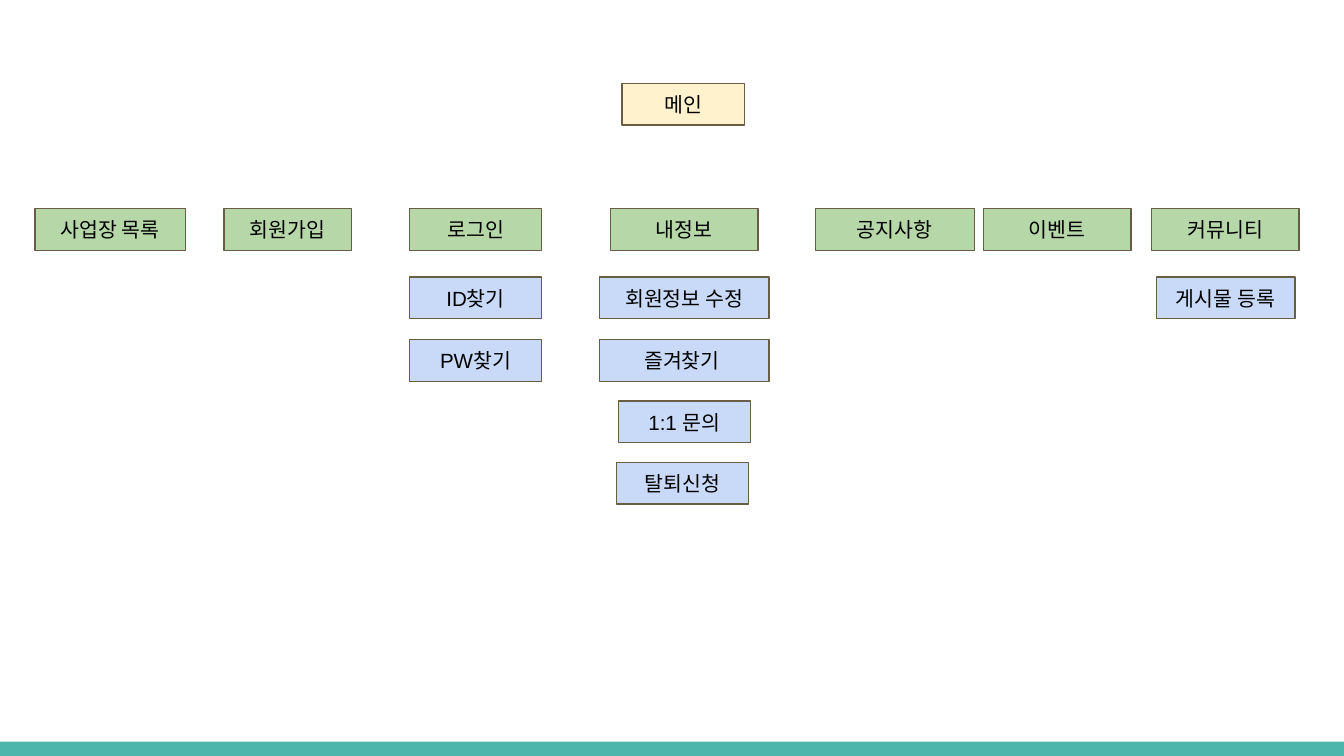
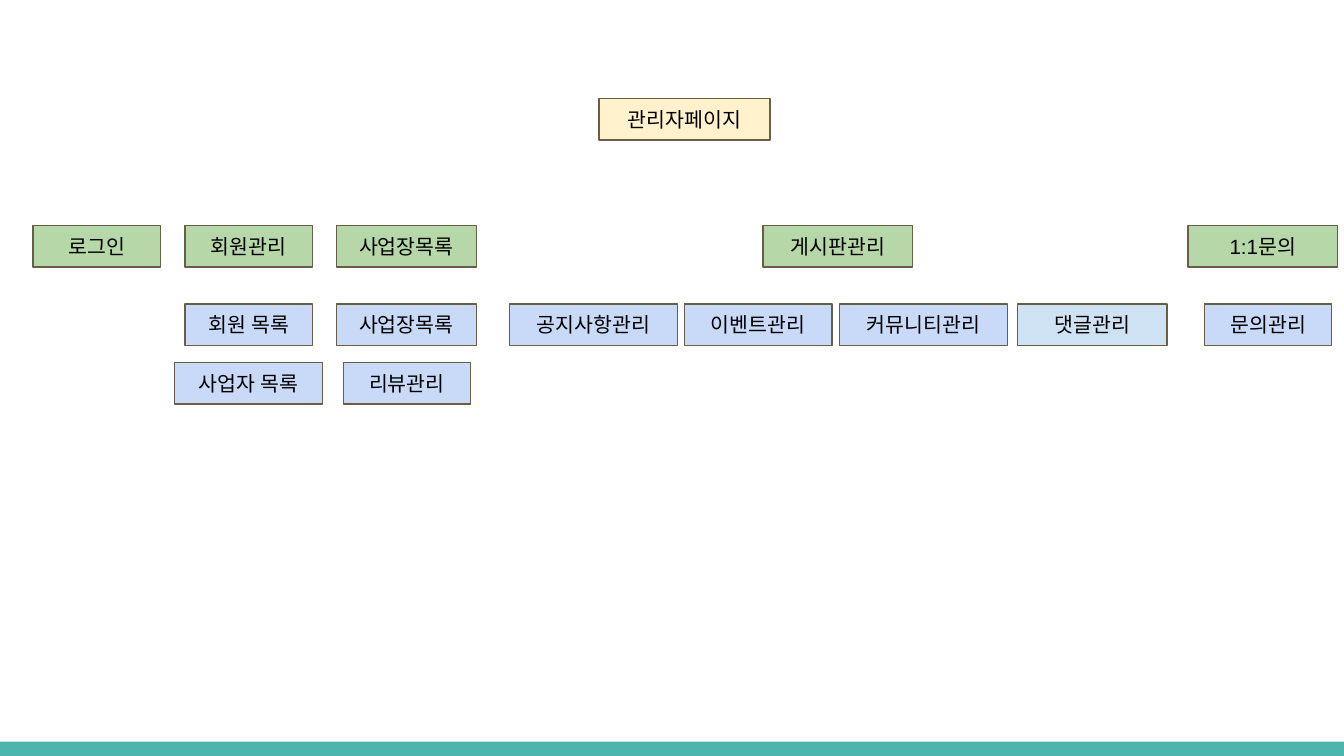
from pptx import Presentation
from pptx.dml.color import RGBColor
from pptx.enum import shapes, text
from pptx.util import Pt

CREAM, GREEN, BLUE, PALE_BLUE = "FFF2CC", "B6D7A8", "C9DAF8", "CFE2F3"
BROWN, BLACK, TEAL = "695D46", "000000", "4DB6AC"
BOX_HEIGHT = 22.3
FRAME_FORMAT = {
    "word_wrap": True,
    "vertical_anchor": text.MSO_ANCHOR.MIDDLE,
    "margin_left": Pt(7.2),
    "margin_right": Pt(7.2),
    "margin_top": Pt(7.2),
    "margin_bottom": Pt(7.2),
}

# Each page is a list of rows: top, fill, then (label, left, width) of every box.
SITE_MAP = [
    (44.6, CREAM, [("메인", 333.2, 65.5)]),
    (111.8, GREEN, [("사업장 목록", 18.7, 80.6), ("회원가입", 120, 68.4),
                    ("로그인", 219.4, 70.8), ("내정보", 327, 79.2),
                    ("공지사항", 436.8, 85.2), ("이벤트", 526.8, 79.2),
                    ("커뮤니티", 616.8, 79.2)]),
    (148.4, BLUE, [("ID찾기", 219.4, 70.8), ("회원정보 수정", 321.2, 90.8),
                   ("게시물 등록", 619.5, 74.2)]),
    (182, BLUE, [("PW찾기", 219.4, 70.8), ("즐겨찾기 ", 321.2, 90.8)]),
    (214.8, BLUE, [("1:1 문의", 331.3, 70.8)]),
    (247.8, BLUE, [("탈퇴신청", 330.3, 70.8)]),
]
ADMIN_MAP = [
    (52.7, CREAM, [("관리자페이지", 320.8, 91.8)]),
    (120.7, GREEN, [("로그인", 17.8, 68.2), ("회원관리", 99.2, 68.2),
                    ("사업장목록", 180.2, 75.1), ("게시판관리", 408.8, 80.2),
                    ("1:1문의", 636.4, 80.2)]),
    (162.8, BLUE, [("회원 목록", 99.2, 68.2), ("사업장목록", 180.2, 75.1),
                   ("공지사항관리", 272.9, 90), ("이벤트관리", 366.7, 79),
                   ("커뮤니티관리", 449.7, 90)]),
    (162.8, PALE_BLUE, [("댓글관리", 545, 80.2)]),
    (162.8, BLUE, [("문의관리", 645.3, 68.2)]),
    (194.1, BLUE, [("사업자 목록", 93.4, 79.5), ("리뷰관리", 183.9, 68.2)]),
]


def color(hex_code):
    return RGBColor.from_string(hex_code)


def add_rectangle(page, left, top, width, height, fill):
    box = page.shapes.add_shape(shapes.MSO_SHAPE.RECTANGLE,
                                Pt(left), Pt(top), Pt(width), Pt(height))
    box.shadow.inherit = False
    box.fill.solid()
    box.fill.fore_color.rgb = color(fill)
    return box


deck = Presentation()
deck.slide_width, deck.slide_height = Pt(720), Pt(405)
blank_layout = deck.slide_layouts[6]
pages = [deck.slides.add_slide(blank_layout) for _ in range(2)]

# The footer band belongs to the master, so every page shows it.
band = add_rectangle(pages[0], 0, 397.4, 720, 7.6, TEAL)
band.line.fill.background()
deck.slide_master.shapes.element.append(band.element)

for page, rows in zip(pages, (SITE_MAP, ADMIN_MAP)):
    for top, fill, entries in rows:
        for label, left, width in entries:
            box = add_rectangle(page, left, top, width, BOX_HEIGHT, fill)
            box.line.color.rgb = color(BROWN)
            box.line.width = Pt(0.75)
            for name, value in FRAME_FORMAT.items():
                setattr(box.text_frame, name, value)
            para = box.text_frame.paragraphs[0]
            para.alignment = text.PP_ALIGN.CENTER
            span = para.add_run()
            span.text = label
            span.font.name = "Arial"
            span.font.size = Pt(11)
            span.font.color.rgb = color(BLACK)

deck.save("out.pptx")
